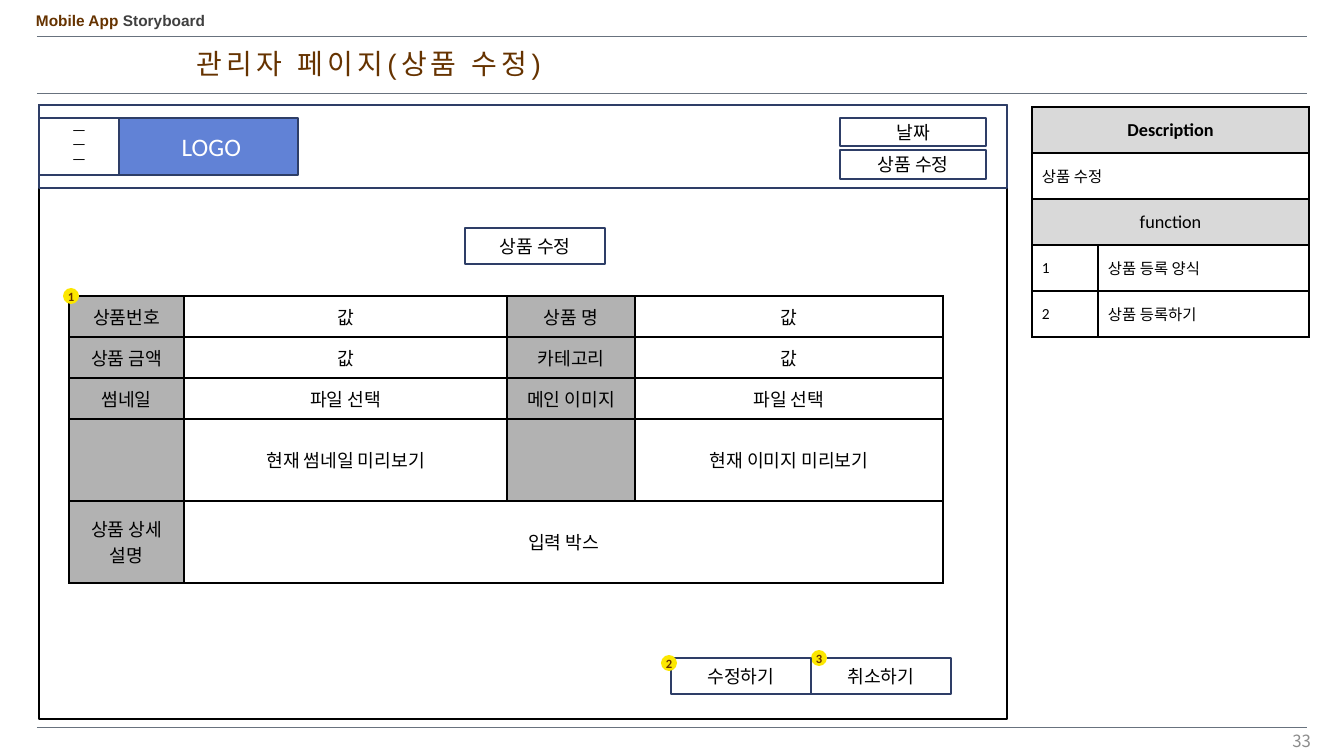
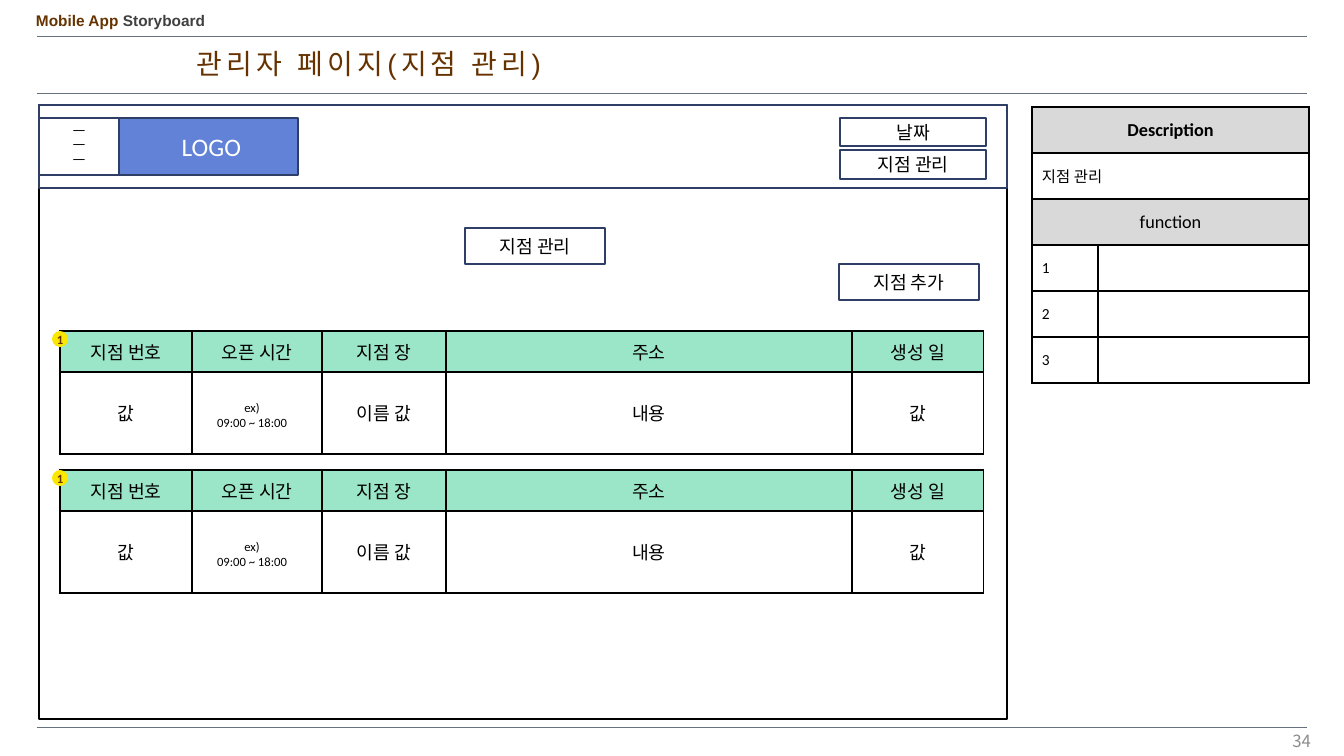
import lxml.etree
import pptx
import pptx.dml.color
import pptx.enum.shapes
import pptx.enum.text
import pptx.oxml.ns
import pptx.util

COLORS = {
    "white": "FFFFFF", "black": "000000", "rule": "68727E", "brown": "663300",
    "dark": "404040", "page": "8C8C8C", "navy": "2E3E67", "logo": "6182D6",
    "badge": "FCE700", "caption": "D9D9D9", "label": "B2B2B2", "mint": "9BE5C8",
}
BODY, HEAD, KOREAN = "Calibri", "Arial", "Noto Sans CJK KR"
EMU_PER_PX = 914400 / 100.8
ALIGN = pptx.enum.text.PP_ALIGN
SHAPE = pptx.enum.shapes.MSO_SHAPE
MIDDLE = pptx.enum.text.MSO_ANCHOR.MIDDLE
qn = pptx.oxml.ns.qn


def px(*lengths):
    return [pptx.util.Emu(round(n * EMU_PER_PX)) for n in lengths]


def rgb(name):
    return pptx.dml.color.RGBColor.from_string(COLORS[name])


def cell(text="", fill="white", size=13, align=ALIGN.CENTER, bold=False, margins=(10, 5, 10, 5)):
    return {"text": text, "fill": fill, "size": size, "align": align,
            "bold": bold, "margins": margins}


class Storyboard:
    def __init__(self):
        self.prs = pptx.Presentation()
        self.prs.slide_width, self.prs.slide_height = px(1344, 756)
        self.slide = None

    def run(self, p, text, size, color="black", font=BODY, bold=False, spacing=0):
        r = p.add_run()
        r.text = text
        r.font.size = pptx.util.Pt(size)
        r.font.name = font
        r.font.bold = bold
        r.font.color.rgb = rgb(color)
        props = r.font._element
        east = lxml.etree.SubElement(props, qn("a:ea"))
        east.set("typeface", KOREAN)
        if spacing:
            props.set("spc", str(spacing * 100))

    def lines(self, tf, text, size, align=ALIGN.CENTER, leading=None, **style):
        for i, line in enumerate(text.split("\n")):
            p = tf.add_paragraph() if i else tf.paragraphs[0]
            p.alignment = align
            if leading:
                p.line_spacing = leading
            if line:
                self.run(p, line, size, **style)

    def margins(self, target, values):
        (target.margin_left, target.margin_top,
         target.margin_right, target.margin_bottom) = px(*values)

    def text(self, box, runs, align=ALIGN.LEFT, leading=None, anchor=None):
        tf = self.slide.shapes.add_textbox(*px(*box)).text_frame
        tf.word_wrap = True
        tf.vertical_anchor = anchor
        p = tf.paragraphs[0]
        p.alignment = align
        if leading:
            p.line_spacing = leading
        for text, style in runs:
            self.run(p, text, **style)

    def rule(self, y):
        line = self.slide.shapes.add_connector(
            pptx.enum.shapes.MSO_CONNECTOR.STRAIGHT, *px(37, y, 1307, y))
        line.line.color.rgb = rgb("rule")
        line.line.width = pptx.util.Pt(0.25)
        lxml.etree.SubElement(line._element.spPr, qn("a:effectLst"))

    def shape(self, kind, box, fill, line=None):
        sp = self.slide.shapes.add_shape(kind, *px(*box))
        sp.shadow.inherit = False
        sp.fill.solid()
        sp.fill.fore_color.rgb = rgb(fill)
        if line:
            sp.line.color.rgb = rgb(line)
            sp.line.width = pptx.util.Pt(1.5)
        else:
            sp.line.fill.background()
        sp.text_frame.vertical_anchor = MIDDLE
        return sp

    def box(self, box, text="", fill="white", line="navy", size=13, **style):
        sp = self.shape(SHAPE.RECTANGLE, box, fill, line)
        if text:
            self.lines(sp.text_frame, text, size, **style)

    def button(self, left, top, text):
        self.box((left, top, 140, 36), text)

    def badge(self, left, top, number):
        tf = self.shape(SHAPE.OVAL, (left, top, 16, 16), "badge").text_frame
        self.margins(tf, (0, 0, 0, 0))
        tf.word_wrap = False
        self.lines(tf, str(number), 9, color="brown", bold=True)

    def borders(self, target):
        props = target._tc.get_or_add_tcPr()
        for i, side in enumerate(("a:lnL", "a:lnR", "a:lnT", "a:lnB")):
            ln = lxml.etree.Element(qn(side), w="12700")
            solid = lxml.etree.SubElement(ln, qn("a:solidFill"))
            lxml.etree.SubElement(solid, qn("a:srgbClr"), val=COLORS["black"])
            props.insert(i, ln)

    def table(self, left, top, widths, heights, rows):
        frame = self.slide.shapes.add_table(
            len(heights), len(widths), *px(left, top, sum(widths), sum(heights)))
        table = frame.table
        table.first_row = table.horz_banding = False
        for column, width in zip(table.columns, px(*widths)):
            column.width = width
        for row, height in zip(table.rows, px(*heights)):
            row.height = height
        for i, row in enumerate(rows):
            for j in range(len(widths)):
                target = table.cell(i, j)
                self.borders(target)
                if j >= len(row):
                    continue
                look = row[j]
                target.fill.solid()
                target.fill.fore_color.rgb = rgb(look["fill"])
                target.vertical_anchor = MIDDLE
                self.margins(target, look["margins"])
                self.lines(target.text_frame, look["text"], look["size"],
                           look["align"], bold=look["bold"])
            if len(row) < len(widths):
                table.cell(i, len(row) - 1).merge(table.cell(i, len(widths) - 1))

    def description(self, name, functions):
        def note(text):
            return cell(text, size=11, align=ALIGN.LEFT)

        rows = [[cell("Description", "caption", bold=True)], [note(name)],
                [cell("function", "caption")]]
        rows += [[note(str(n)), note(text)] for n, text in enumerate(functions, 1)]
        self.table(1032, 107, (66, 211), [46] * len(rows), rows)

    def page(self, name, number, functions):
        self.slide = self.prs.slides.add_slide(self.prs.slide_layouts[6])
        for y in (36, 93, 727):
            self.rule(y)
        self.text((26, 10, 360, 25), [
            ("Mobile App ", {"size": 11, "font": HEAD, "color": "brown", "bold": True}),
            ("Storyboard", {"size": 11, "font": HEAD, "color": "dark", "bold": True}),
        ], leading=0.8)
        self.text((187, 45, 484, 40), [
            (f"관리자 페이지({name})",
             {"size": 20, "font": HEAD, "color": "brown", "spacing": 3}),
        ], leading=0.9)
        self.text((1032, 721, 289, 40), [
            (str(number), {"size": 12, "font": KOREAN, "color": "page"}),
        ], ALIGN.RIGHT, anchor=MIDDLE)
        self.box((39, 105, 968, 614), line="black")
        self.description(name, functions)
        self.box((39, 105, 968, 83))
        self.box((119, 118, 179, 57), " LOGO", fill="logo", size=18, color="white")
        self.box((39, 118, 80, 57), "ㅡ\nㅡ\nㅡ", size=10, leading=0.85)
        self.box((840, 118, 146, 28), "날짜")
        self.box((840, 150, 146, 29), name)
        self.button(465, 228, name)


def product_page(board):
    board.page("상품 수정", 33, ["상품 등록 양식", "상품 등록하기"])
    form = [
        ("상품번호", "값", "상품 명", "값"),
        ("상품 금액", "값", "카테고리", "값"),
        ("썸네일", "파일 선택", "메인 이미지", "파일 선택"),
        ("", "현재 썸네일 미리보기", "", "현재 이미지 미리보기"),
        ("상품 상세\n설명", "입력 박스"),
    ]
    rows = [[cell(text, "white" if j % 2 else "label") for j, text in enumerate(row)]
            for row in form]
    board.table(69, 296, (115, 323, 128, 308), (41, 41, 41, 82, 82), rows)
    board.badge(63, 288, 1)
    board.button(811, 658, "취소하기")
    board.badge(811, 650, 3)
    board.button(671, 658, "수정하기")
    board.badge(661, 655, 2)


def branch_page(board):
    board.page("지점 관리", 34, ["", "", ""])
    titles = ("지점 번호", "오픈 시간", "지점 장", "주소", "생성 일")
    rows = [
        [cell(title, "mint") for title in titles],
        [cell("값"), cell("ex)\n09:00 ~ 18:00", size=9, margins=(0, 5, 10, 0)),
         cell("이름 값"), cell("내용"), cell("값")],
    ]
    for top in (331, 470):
        board.table(60, top, (132, 130, 124, 406, 132), (41, 82), rows)
        board.badge(52, top, 1)
    board.button(839, 264, "지점 추가")


def main():
    board = Storyboard()
    product_page(board)
    branch_page(board)
    board.prs.save("out.pptx")


if __name__ == "__main__":
    main()
